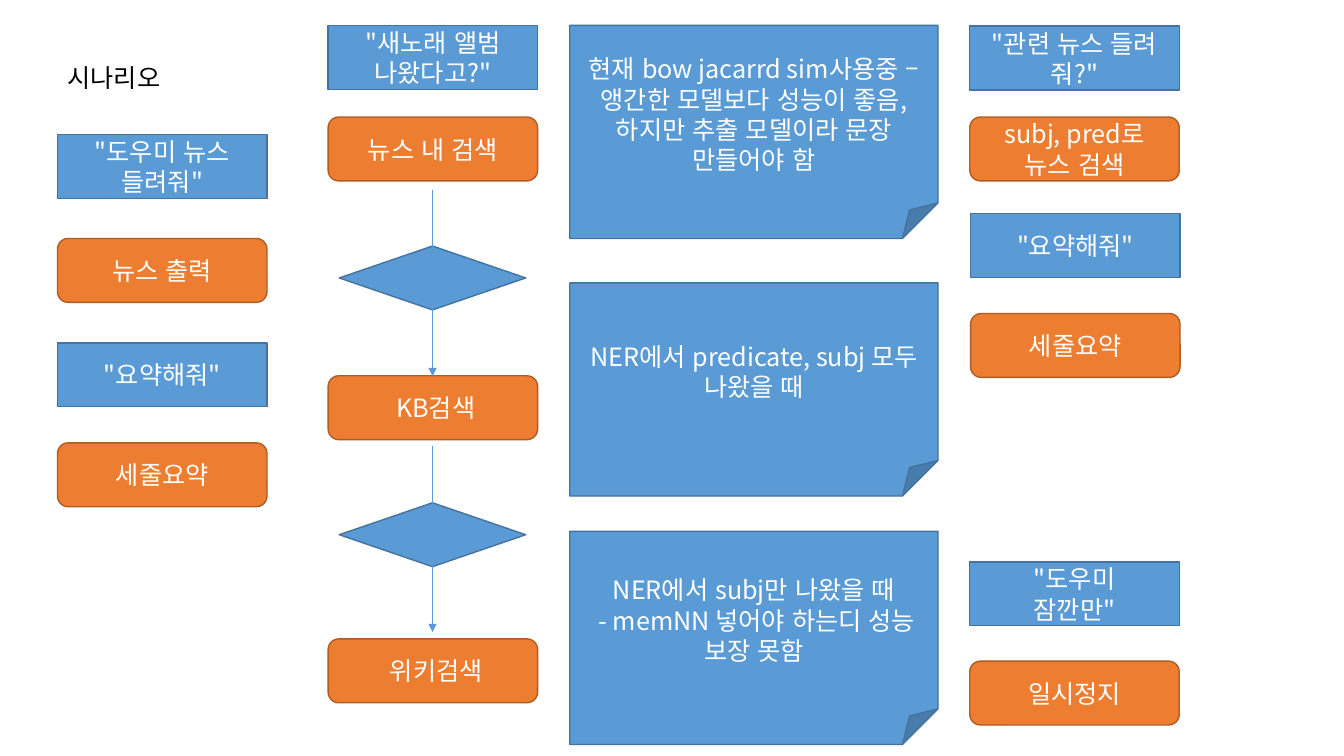
from lxml import etree
from pptx import Presentation
from pptx import util as u
from pptx.dml.color import RGBColor
from pptx.enum import lang, shapes, text
from pptx.oxml import ns

FONT = "Noto Sans CJK KR"
BLUE, BLUE_EDGE = "5B9BD5", "43739E"
ORANGE, ORANGE_EDGE = "ED7D31", "AF5C24"
WHITE, BLACK = "FFFFFF", "000000"
KIND = shapes.MSO_SHAPE

presentation = Presentation()
presentation.slide_width, presentation.slide_height = u.Cm(33.87), u.Cm(19.05)
slide = presentation.slides.add_slide(presentation.slide_layouts[5])


def write(shape, words, color, alignment):
    """Fill a shape with 18 pt text, one paragraph per line of words."""
    frame = shape.text_frame
    frame.text = words
    for paragraph in frame.paragraphs:
        paragraph.alignment = alignment
        for run in paragraph.runs:
            run.font.size = u.Pt(18)
            run.font.name = FONT
            run.font.language_id = lang.MSO_LANGUAGE_ID.KOREAN
            run.font.color.rgb = RGBColor.from_string(color)
            # Hangul takes the East Asian typeface
            etree.SubElement(run.font._element, ns.qn("a:ea"), typeface=FONT)


def add_box(kind, left, top, width, height, words="", fill=BLUE, edge=BLUE_EDGE):
    shape = slide.shapes.add_shape(kind, u.Cm(left), u.Cm(top), u.Cm(width), u.Cm(height))
    shape.shadow.inherit = False
    shape.fill.solid()
    shape.fill.fore_color.rgb = RGBColor.from_string(fill)
    shape.line.color.rgb = RGBColor.from_string(edge)
    shape.line.width = u.Pt(1)
    if words:
        shape.text_frame.word_wrap = True
        shape.text_frame.vertical_anchor = text.MSO_ANCHOR.MIDDLE
        write(shape, words, WHITE, text.PP_ALIGN.CENTER)


# Title
title = slide.shapes.title
title.left, title.top, title.width, title.height = u.Cm(1.45), u.Cm(1.45), u.Cm(3.07), u.Cm(1.02)
write(title, "시나리오", BLACK, text.PP_ALIGN.LEFT)
title.text_frame.word_wrap = False
title.text_frame.auto_size = text.MSO_AUTO_SIZE.NONE
title.text_frame.vertical_anchor = text.MSO_ANCHOR.TOP

# User utterances (blue) and system steps (orange)
STEP_WIDTH, STEP_HEIGHT = 5.28, 1.61
utterances = [
    (1.45, 3.39, '"도우미 뉴스\n들려줘"'),
    (1.45, 8.64, '"요약해줘"'),
    (8.27, 0.64, '"새노래 앨범 나왔다고?"'),
    (24.44, 0.66, '"관련 뉴스 들려줘?"'),
    (24.46, 5.38, '"요약해줘"'),
    (24.44, 14.16, '"도우미\n잠깐만"'),
]
steps = [
    (1.45, 6.01, "뉴스 출력"),
    (1.45, 11.16, "세줄요약"),
    (8.27, 2.95, "뉴스 내 검색"),
    (8.27, 9.47, " KB검색"),
    (8.27, 16.1, " 위키검색"),
    (24.44, 2.95, "subj, pred로 뉴스 검색"),
    (24.46, 7.9, "세줄요약"),
    (24.44, 16.66, "일시정지"),
]
for left, top, words in utterances:
    add_box(KIND.RECTANGLE, left, top, STEP_WIDTH, STEP_HEIGHT, words)
for left, top, words in steps:
    add_box(KIND.ROUNDED_RECTANGLE, left, top, STEP_WIDTH, STEP_HEIGHT, words, ORANGE, ORANGE_EDGE)

# Notes beside the search steps
notes = [
    (0.64, "현재 bow jacarrd sim사용중 – 앵간한 모델보다 성능이 좋음, "
           "하지만 추출 모델이라 문장 만들어야 함"),
    (7.13, "NER에서 predicate, subj 모두 나왔을 때"),
    (13.39, "NER에서 subj만 나왔을 때\n - memNN 넣어야 하는디 성능 보장 못함"),
]
for top, words in notes:
    add_box(KIND.FOLDED_CORNER, 14.36, top, 9.28, 5.37, words)

# Decisions, each crossed by an arrow to the next search step
ARROW_X, ARROW_LENGTH = 10.9, 4.7
for diamond_top, arrow_top in [(6.2, 4.78), (12.67, 11.23)]:
    add_box(KIND.FLOWCHART_DECISION, 8.55, diamond_top, 4.7, STEP_HEIGHT)
    arrow = slide.shapes.add_connector(
        shapes.MSO_CONNECTOR.STRAIGHT,
        u.Cm(ARROW_X), u.Cm(arrow_top), u.Cm(ARROW_X), u.Cm(arrow_top + ARROW_LENGTH))
    arrow.line.color.rgb = RGBColor.from_string(BLUE)
    arrow.line.width = u.Pt(0.5)
    etree.SubElement(arrow.line._get_or_add_ln(), ns.qn("a:tailEnd"), type="triangle")
    etree.SubElement(arrow._element.spPr, ns.qn("a:effectLst"))

presentation.save("out.pptx")
